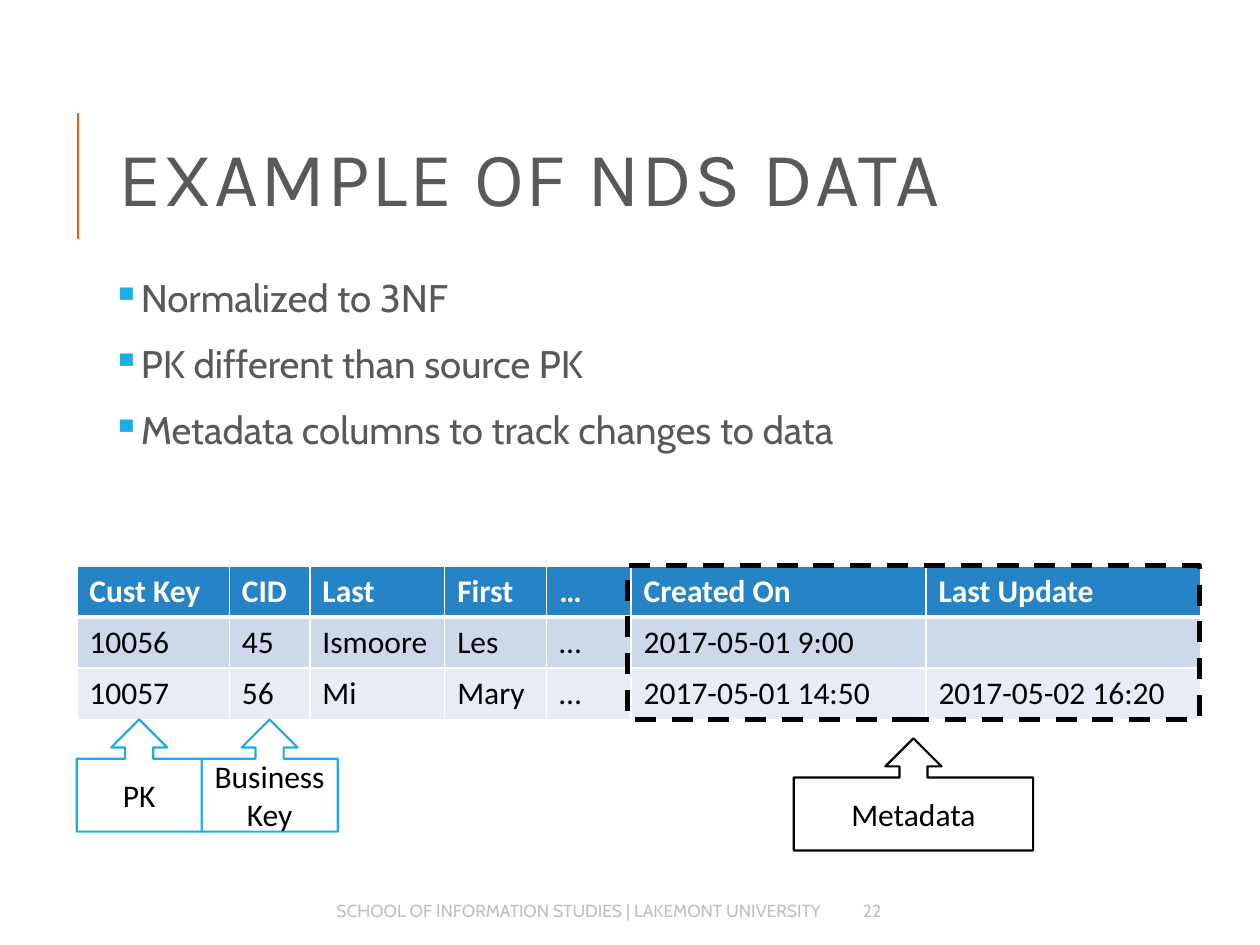
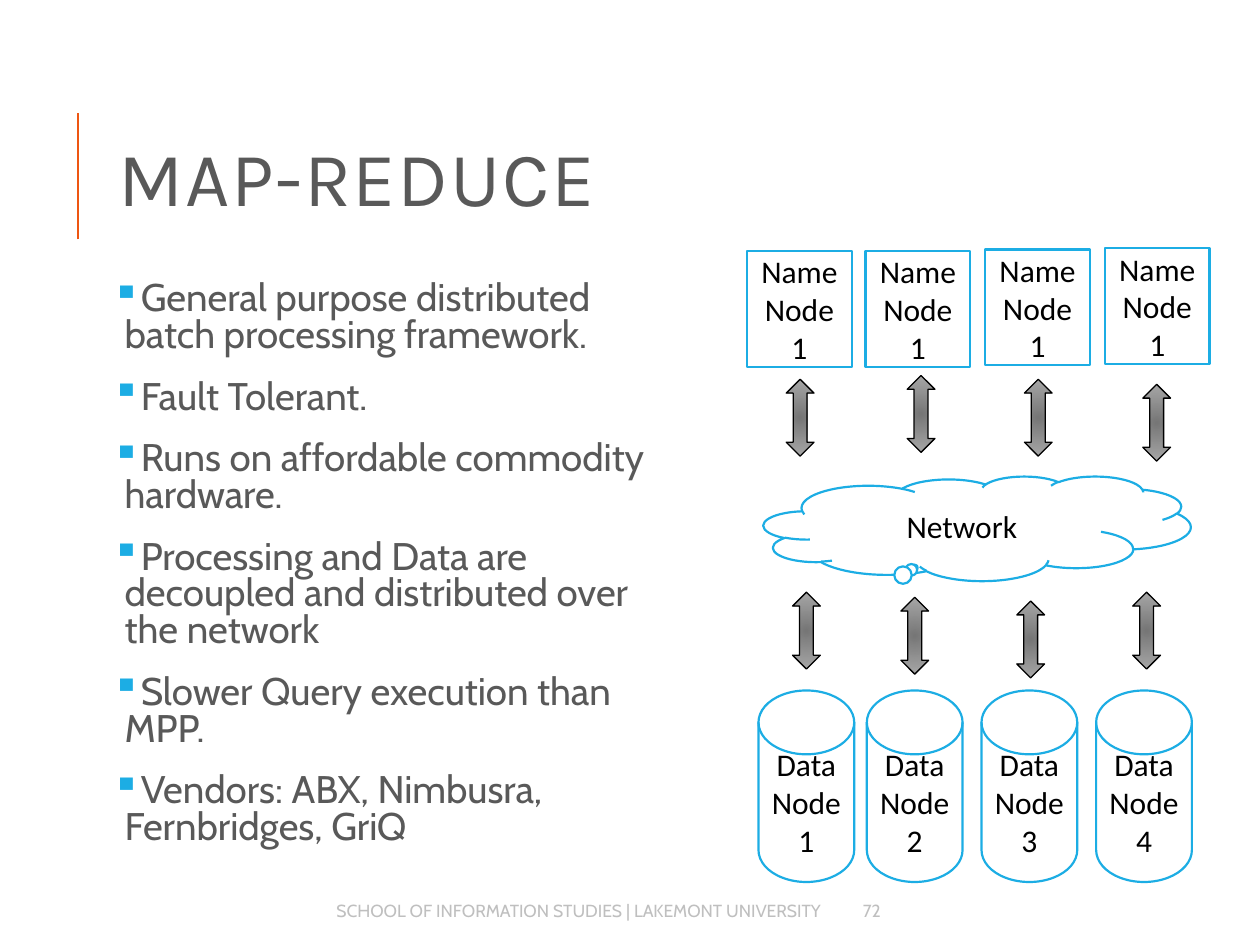
from dataclasses import dataclass
from lxml import etree
from pptx import Presentation
from pptx import util as u
from pptx.dml.color import RGBColor
from pptx.enum import dml, shapes, text
from pptx.oxml.ns import qn


@dataclass(frozen=True)
class Theme:
    white: str = "FFFFFF"
    black: str = "000000"
    grey: str = "595959"
    pale: str = "BFBFBF"
    blue: str = "1CADE4"
    orange: str = "EE5612"
    head: str = "2683C6"
    bands: tuple = ("CDD9EA", "E8EDF5")
    ramp: tuple = ("767676", "A9A9A9")
    title: tuple = ("Karla", 44)
    body: tuple = ("Cabin", 22)
    foot: tuple = ("Cabin", 10)
    label: tuple = ("Calibri", 18)


T = Theme()
KIND = shapes.MSO_SHAPE
MID = text.MSO_ANCHOR.MIDDLE
LEFT, CENTER, RIGHT = text.PP_ALIGN.LEFT, text.PP_ALIGN.CENTER, text.PP_ALIGN.RIGHT


def rgb(code):
    return RGBColor.from_string(code)


def inches(box):
    return [u.Inches(n) for n in box]


def node(top, tag, **attrs):
    return etree.SubElement(top, qn(tag), attrs)


def paint(top, code):
    node(node(top, "a:solidFill"), "a:srgbClr", val=code)


def write(par, words, font, color, bold=False):
    for i, line in enumerate(words.split("\n")):
        if i:
            par.add_line_break()
        run = par.add_run()
        run.text = line
        run.font.name, run.font.size = font[0], u.Pt(font[1])
        run.font.color.rgb = rgb(color)
        run.font.bold = bold
    return par


def fill_text(frame, lines, font, color, align=LEFT):
    frame.word_wrap = True
    pars = []
    for i, line in enumerate(lines):
        par = frame.add_paragraph() if i else frame.paragraphs[0]
        par.alignment = align
        pars.append(write(par, line, font, color))
    return pars


def text_box(slide, box, lines, font, color, align=LEFT):
    frame = slide.shapes.add_textbox(*inches(box)).text_frame
    return frame, fill_text(frame, lines, font, color, align)


def draw(slide, kind, box, line=T.blue, width=1.25, fill=T.white, lines=()):
    shape = slide.shapes.add_shape(kind, *inches(box))
    shape.shadow.inherit = False
    if fill:
        shape.fill.solid()
        shape.fill.fore_color.rgb = rgb(fill)
    else:
        shape.fill.background()
    shape.line.color.rgb = rgb(line)
    shape.line.width = u.Pt(width)
    shape.text_frame.vertical_anchor = MID
    fill_text(shape.text_frame, lines, T.label, T.black, CENTER)
    return shape


def base(deck, title, number):
    slide = deck.slides.add_slide(deck.slide_layouts[5])
    rule = slide.shapes.add_connector(
        shapes.MSO_CONNECTOR.STRAIGHT, *inches((0.62, 1.9, 0.62, 0.9)))
    rule.line.color.rgb = rgb(T.orange)
    rule.line.width = u.Pt(1.5)
    node(rule._element.spPr, "a:effectLst")

    head = slide.shapes.title
    head.left, head.top, head.width, head.height = inches((0.84, 0.64, 7.97, 1.64))
    frame = head.text_frame
    frame.auto_size = text.MSO_AUTO_SIZE.NONE
    frame.vertical_anchor = MID
    par, = fill_text(frame, [title], T.title, T.grey)
    par.line_spacing = 0.8
    par.runs[0].font._element.set("spc", "100")

    school = "SCHOOL OF INFORMATION STUDIES | LAKEMONT UNIVERSITY"
    for left, width, words, align in ((1.89, 4.72, school, RIGHT),
                                      (6.75, 0.91, str(number), LEFT)):
        frame, _ = text_box(slide, (left, 7.08, width, 0.3), [words],
                            T.foot, T.pale, align)
        frame.vertical_anchor = MID
    return slide


def bullets(slide, box, lines, gap):
    frame, pars = text_box(slide, box, lines, T.body, T.grey)
    frame.margin_left = frame.margin_right = u.Inches(0.05)
    frame.margin_top = frame.margin_bottom = u.Inches(0.05)
    for par in pars:
        par.line_spacing = gap
        par.space_before, par.space_after = u.Pt(12), u.Pt(2)
        props = par._p.get_or_add_pPr()
        props.set("marL", str(u.Inches(0.1)))
        props.set("indent", str(-u.Inches(0.1)))
        node(node(props, "a:buClr"), "a:srgbClr", val=T.blue)
        node(props, "a:buChar", char="▪")


def style_cell(cell, words, row):
    props = cell._tc.get_or_add_tcPr()
    thick = {"T": 3 if row == 1 else 1, "B": 3 if row == 0 else 1}
    for side in "LRTB":
        edge = node(props, "a:ln" + side, w=str(u.Pt(thick.get(side, 1))))
        paint(edge, T.white)
    cell.fill.solid()
    cell.fill.fore_color.rgb = rgb(T.bands[row - 1] if row else T.head)
    if words:
        write(cell.text_frame.paragraphs[0], words, T.label,
              T.black if row else T.white, row == 0)


def data_table(slide, box, widths, rows):
    table = slide.shapes.add_table(len(rows), len(widths), *inches(box)).table
    for col, width in zip(table.columns, widths):
        col.width = u.Inches(width)
    for r, row in enumerate(rows):
        table.rows[r].height = u.Inches(box[3] / len(rows))
        for c, words in enumerate(row):
            style_cell(table.cell(r, c), words, r)


def key_table(slide, box):
    left, top, width, height = box
    widths = (1.21, 0.64, 1.07, 0.81, 0.67, 2.34, 2.18)
    data_table(slide, box, widths, (
        ("Cust Key", "CID", "Last", "First", "…", "Created On", "Last Update"),
        ("10056", "45", "Ismoore", "Les", "…", "2017-05-01 9:00", ""),
        ("10057", "56", "Mi", "Mary", "…", "2017-05-01 14:50", "2017-05-02 16:20"),
    ))
    meta = 4.54
    frame = draw(slide, KIND.RECTANGLE, (left + width - meta, top, meta, height),
                 T.black, 3, None)
    frame.line.dash_style = dml.MSO_LINE.DASH
    base_y = top + height
    for dx, dy, wide, words, color in (
            (0.99, 0, 1.08, "Business Key", T.blue),
            (5.69, 0.15, 1.9, "Metadata", T.black),
            (0, 0, 0.99, "PK", T.blue)):
        draw(slide, KIND.UP_ARROW_CALLOUT, (left + dx, base_y + dy, wide, 0.89),
             color, lines=[words])


def arrow(slide, left, top):
    shape = draw(slide, KIND.UP_DOWN_ARROW, (left, top, 0.22, 0.61), T.black, 0.75, None)
    props = shape._element.spPr
    grad = etree.Element(qn("a:gradFill"), rotWithShape="1")
    stops = node(grad, "a:gsLst")
    for pos, code in zip(("0", "100000"), T.ramp):
        node(node(stops, "a:gs", pos=pos), "a:srgbClr", val=code)
    circle = node(grad, "a:path", path="circle")
    node(circle, "a:fillToRect", **dict.fromkeys("ltrb", "100000"))
    props.replace(props.find(qn("a:noFill")), grad)


def cluster(slide, box):
    left, top, width, height = box
    for dx, dy in ((0, 0.02), (0.94, 0.02), (1.89, 0.01), (2.84, 0)):
        draw(slide, KIND.RECTANGLE, (left + dx, top + dy, 0.83, 0.92),
             lines=["Name", "Node1"])
    for dx, dy in ((0.31, 1.04), (1.27, 1.01), (2.2, 1.04), (3.14, 1.08),
                   (0.36, 2.73), (1.22, 2.77), (2.14, 2.8), (3.06, 2.73)):
        arrow(slide, left + dx, top + dy)
    for i, dx in enumerate((0.09, 0.95, 1.86, 2.77), 1):
        draw(slide, KIND.FLOWCHART_MAGNETIC_DISK,
             (left + dx, top + height - 1.52, 0.76, 1.52),
             lines=["Data", f"Node\n{i}"])
    cloud = draw(slide, KIND.CLOUD_CALLOUT, (left + 0.13, top + 1.81, 3.39, 0.83),
                 lines=["Network"])
    cloud.adjustments[0], cloud.adjustments[1] = -0.146, 0.375


def nds(deck):
    slide = base(deck, "EXAMPLE OF NDS DATA", 22)
    bullets(slide, (0.84, 2.17, 7.97, 2.17), (
        "Normalized to 3NF",
        "PK different than source PK",
        "Metadata columns to track changes to data",
    ), 0.9)
    key_table(slide, (0.61, 4.49, 8.91, 1.22))


def reduce(deck):
    slide = base(deck, "MAP-REDUCE", 72)
    bullets(slide, (0.84, 2.19, 4.5, 4.88), (
        "General purpose distributed batch processing framework.",
        "Fault Tolerant.",
        "Runs on affordable commodity hardware.",
        "Processing and Data are decoupled and distributed over the network",
        "Slower Query execution than MPP.",
        "Vendors: ABX, Nimbusra, Fernbridges, GriQ",
    ), 0.8)
    cluster(slide, (5.93, 1.97, 3.67, 5.03))


def main():
    deck = Presentation()
    deck.slide_width, deck.slide_height = inches((10, 7.5))
    nds(deck)
    reduce(deck)
    deck.save("out.pptx")


if __name__ == "__main__":
    main()
